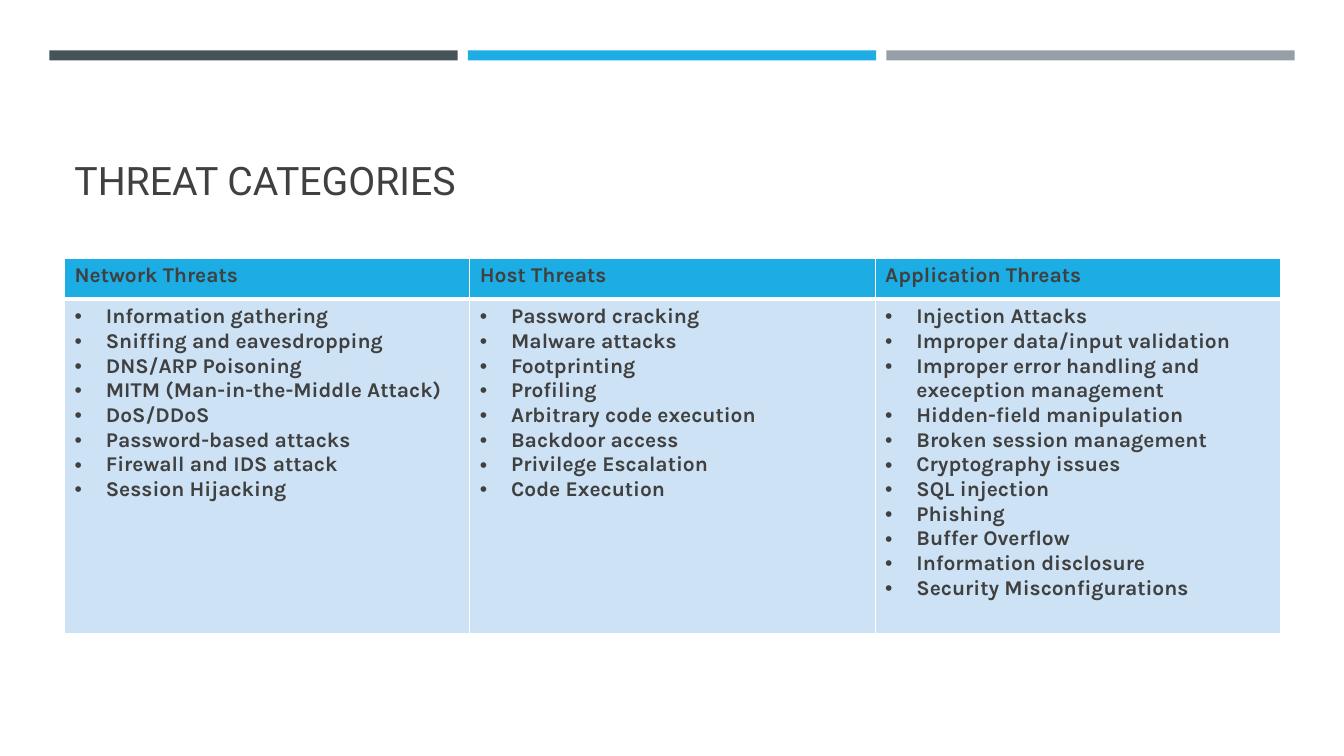
from lxml import etree
from pptx import Presentation
from pptx import util as u
from pptx.dml.color import RGBColor
from pptx.enum import shapes, text
from pptx.oxml.ns import qn

TITLE = "THREAT CATEGORIES"
THREATS = {
    "Network Threats": [
        "Information gathering", "Sniffing and eavesdropping", "DNS/ARP Poisoning",
        "MITM (Man-in-the-Middle Attack)", "DoS/DDoS", "Password-based attacks",
        "Firewall and IDS attack", "Session Hijacking",
    ],
    "Host Threats": [
        "Password cracking", "Malware attacks", "Footprinting", "Profiling",
        "Arbitrary code execution", "Backdoor access", "Privilege Escalation",
        "Code Execution",
    ],
    "Application Threats": [
        "Injection Attacks", "Improper data/input validation",
        "Improper error handling and exeception management",
        "Hidden-field manipulation", "Broken session management",
        "Cryptography issues", "SQL injection", "Phishing", "Buffer Overflow",
        "Information disclosure", "Security Misconfigurations",
    ],
}

INK = RGBColor(0x40, 0x40, 0x40)
SLATE = RGBColor(0x46, 0x53, 0x59)
BLUE = RGBColor(0x1C, 0xAD, 0xE4)
GREY = RGBColor(0x96, 0x9F, 0xA7)
PALE_BLUE = RGBColor(0xCD, 0xE3, 0xF5)
WHITE = RGBColor(0xFF, 0xFF, 0xFF)

SLIDE_WIDTH, SLIDE_HEIGHT = 13.33, 7.5
BAR_LEFT, BAR_TOP, BAR_WIDTH, BAR_HEIGHT, BAR_STEP = 0.49, 0.5, 4.05, 0.1, 4.15
BODY_LEFT, BODY_WIDTH = 0.64, 12.06
TITLE_TOP, TITLE_HEIGHT = 0.77, 1.3
TABLE_TOP, ROW_HEIGHTS = 2.56, (0.41, 3.32)
INDENT = 0.31
THIN, THICK = 1, 3


def write(frame, lines, font, size, bold=False, bullet=None):
    frame.word_wrap = True
    for index, line in enumerate(lines):
        para = frame.paragraphs[0] if index == 0 else frame.add_paragraph()
        para.alignment = text.PP_ALIGN.LEFT
        span = para.add_run()
        span.text = line
        span.font.name = font
        span.font.size = u.Pt(size)
        span.font.bold = bold
        span.font.color.rgb = INK
        if bullet:
            props = para._p.get_or_add_pPr()
            props.set("marL", str(u.Inches(INDENT)))
            props.set("indent", str(-u.Inches(INDENT)))
            etree.SubElement(props, qn("a:buFont"), typeface="Arial")
            etree.SubElement(props, qn("a:buChar"), char=bullet)


def set_borders(cell, **widths):
    """Draw white borders; widths are points by side, in the order L, R, T, B."""
    props = cell._tc.get_or_add_tcPr()
    for index, (side, width) in enumerate(widths.items()):
        line = etree.Element(qn(f"a:ln{side}"), w=str(u.Pt(width)))
        fill = etree.SubElement(line, qn("a:solidFill"))
        etree.SubElement(fill, qn("a:srgbClr"), val=str(WHITE))
        props.insert(index, line)


def add_bars(page):
    for index, color in enumerate((SLATE, BLUE, GREY)):
        bar = page.shapes.add_shape(
            shapes.MSO_SHAPE.RECTANGLE, u.Inches(BAR_LEFT + index * BAR_STEP),
            u.Inches(BAR_TOP), u.Inches(BAR_WIDTH), u.Inches(BAR_HEIGHT))
        bar.shadow.inherit = False
        bar.fill.solid()
        bar.fill.fore_color.rgb = color
        bar.line.fill.background()


def add_title(page):
    box = page.shapes.add_textbox(u.Inches(BODY_LEFT), u.Inches(TITLE_TOP),
                                  u.Inches(BODY_WIDTH), u.Inches(TITLE_HEIGHT))
    box.text_frame.vertical_anchor = text.MSO_ANCHOR.BOTTOM
    write(box.text_frame, [TITLE], font="Roboto", size=28)


def add_threat_table(page):
    table = page.shapes.add_table(
        len(ROW_HEIGHTS), len(THREATS), u.Inches(BODY_LEFT), u.Inches(TABLE_TOP),
        u.Inches(BODY_WIDTH), u.Inches(sum(ROW_HEIGHTS))).table
    for row, height in zip(table.rows, ROW_HEIGHTS):
        row.height = u.Inches(height)
    for column, (category, threats) in enumerate(THREATS.items()):
        table.columns[column].width = u.Inches(BODY_WIDTH / len(THREATS))
        head, body = table.cell(0, column), table.cell(1, column)
        write(head.text_frame, [category], font="Karla", size=15, bold=True)
        write(body.text_frame, threats, font="Karla", size=15, bold=True, bullet="•")
        set_borders(head, L=THIN, R=THIN, T=THIN, B=THICK)
        set_borders(body, L=THIN, R=THIN, T=THICK, B=THIN)
        for cell, color in ((head, BLUE), (body, PALE_BLUE)):
            cell.fill.solid()
            cell.fill.fore_color.rgb = color


def main():
    deck = Presentation()
    deck.slide_width = u.Inches(SLIDE_WIDTH)
    deck.slide_height = u.Inches(SLIDE_HEIGHT)
    page = deck.slides.add_slide(deck.slide_layouts[6])
    add_bars(page)
    add_title(page)
    add_threat_table(page)
    deck.save("out.pptx")


if __name__ == "__main__":
    main()
